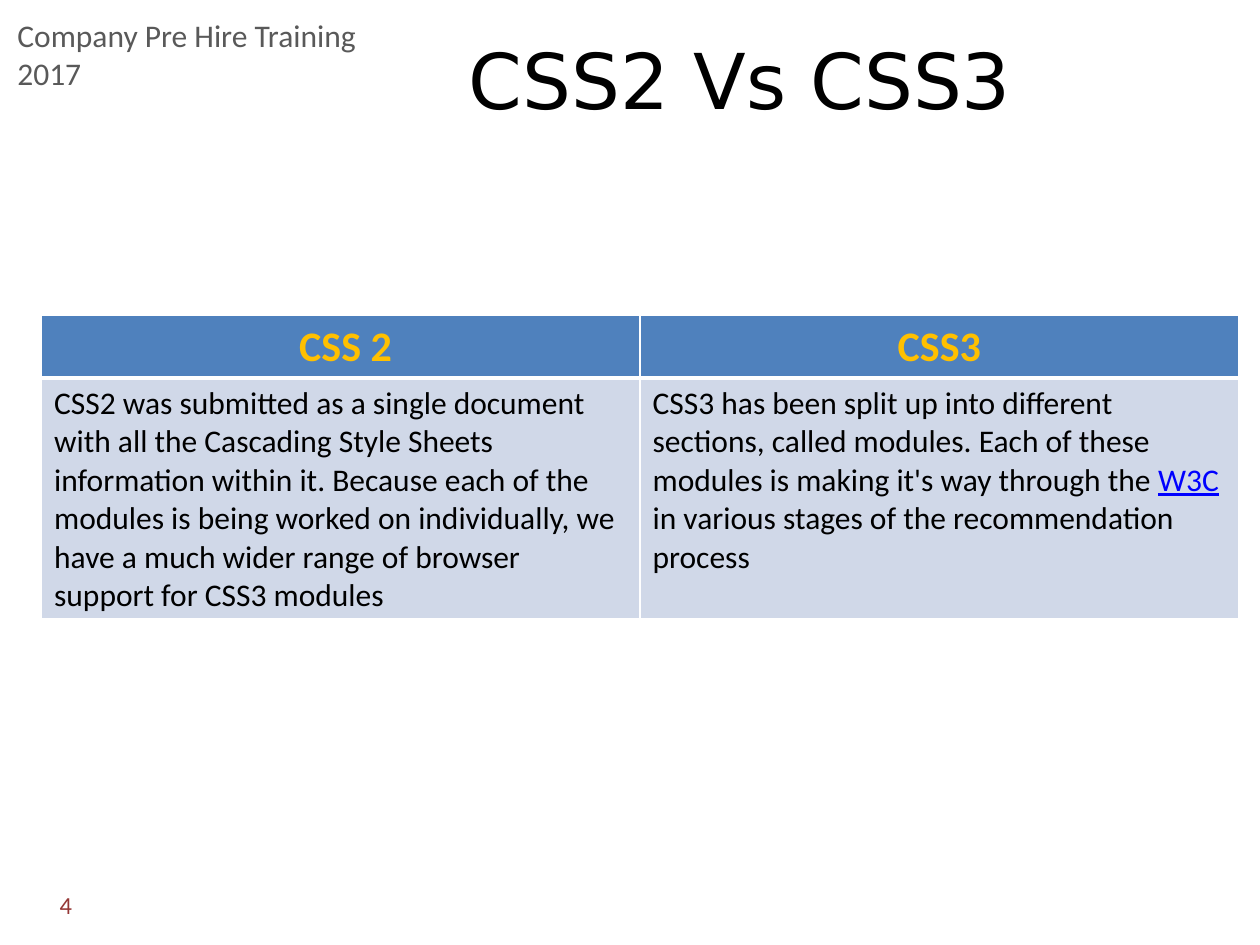
from pptx import Presentation
from pptx.dml.color import RGBColor
from pptx.enum.text import MSO_ANCHOR as Anchor, PP_ALIGN as Align
from pptx.oxml import parse_xml
from pptx.oxml.ns import nsdecls
from pptx.util import Inches, Pt

HEADS = [" CSS 2", "CSS3"]
BODY = [
    ["CSS2 was submitted as a single document with all the Cascading Style "
     "Sheets information within it. Because each of the modules is being "
     "worked on individually, we have a much wider range of browser support "
     "for CSS3 modules"],
    ["CSS3 has been split up into different sections, called modules. Each of "
     "these modules is making it's way through the ",
     "W3C",
     " in various stages of the recommendation process"],
]


def rgb(code):
    return RGBColor.from_string(code)


def add_run(para, text, size, color, face="Calibri", bold=False, under=False):
    run = para.add_run()
    run.text = text
    font = run.font
    font.size, font.name = Pt(size), face
    font.bold, font.underline = bold, under
    font.color.rgb = rgb(color)


def add_label(slide, box, text, size, color, face="Calibri",
              align=Align.LEFT, anchor=Anchor.TOP, wrap=True):
    frame = slide.shapes.add_textbox(*map(Inches, box)).text_frame
    frame.word_wrap = wrap
    frame.vertical_anchor = anchor
    para = frame.paragraphs[0]
    para.alignment = align
    add_run(para, text, size, color, face)


def style_cell(cell, fill, top=1, bottom=1):
    """Set white borders, in points, and then the fill that must follow them."""
    props = cell._tc.get_or_add_tcPr()
    for side, width in (("L", 1), ("R", 1), ("T", top), ("B", bottom)):
        props.append(parse_xml(
            f'<a:ln{side} {nsdecls("a")} w="{Pt(width)}"><a:solidFill>'
            f'<a:srgbClr val="FFFFFF"/></a:solidFill></a:ln{side}>'))
    cell.fill.solid()
    cell.fill.fore_color.rgb = rgb(fill)


def add_grid(slide, box):
    left, top, width, height = map(Inches, box)
    table = slide.shapes.add_table(2, len(HEADS), left, top, width, height).table
    table.rows[0].height = Inches(0.49)
    table.rows[1].height = height - Inches(0.49)
    for col, (head, parts) in enumerate(zip(HEADS, BODY)):
        table.columns[col].width = width // len(HEADS)

        cell = table.cell(0, col)
        style_cell(cell, "4F81BD", bottom=3)
        para = cell.text_frame.paragraphs[0]
        para.alignment = Align.CENTER
        add_run(para, head, 24, "FFC000", bold=True)

        cell = table.cell(1, col)
        style_cell(cell, "D0D8E8", top=3)
        para = cell.text_frame.paragraphs[0]
        for part in parts:
            link = part == "W3C"
            add_run(para, part, 18, "0000FF" if link else "000000", under=link)


def main():
    deck = Presentation()
    deck.slide_width, deck.slide_height = Inches(10), Inches(7.5)
    slide = deck.slides.add_slide(deck.slide_layouts[6])
    add_label(slide, (0.04, 0.08, 3.4, 0.4), "Company Pre Hire Training  2017",
              18, "595959", wrap=False)
    add_grid(slide, (0.33, 2.5, 9.5, 2.4))
    add_label(slide, (1.75, 0, 8.25, 1.25), "CSS2 Vs CSS3", 44, "000000",
              "DejaVu Sans", Align.CENTER, Anchor.MIDDLE)
    add_label(slide, (0.17, 7.03, 0.5, 0.3), "4", 14, "953735",
              align=Align.RIGHT, anchor=Anchor.MIDDLE)
    deck.save("out.pptx")


if __name__ == "__main__":
    main()
